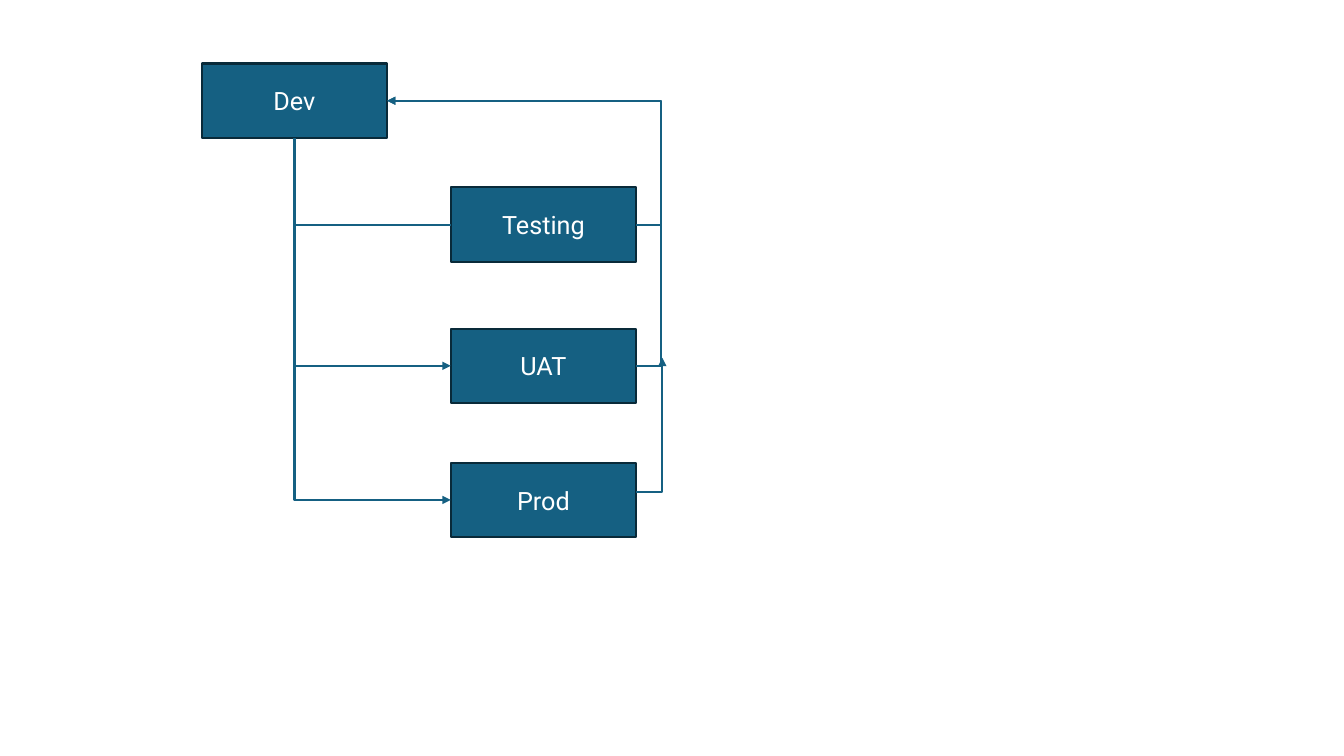
from pptx import Presentation
from pptx.dml.color import RGBColor
from pptx.enum.shapes import MSO_CONNECTOR, MSO_SHAPE
from pptx.enum.text import MSO_ANCHOR, PP_ALIGN
from pptx.oxml.ns import qn
from pptx.util import Inches, Pt
from lxml import etree

ELBOW, RECT = MSO_CONNECTOR.ELBOW, MSO_SHAPE.RECTANGLE
MIDDLE, CENTER = MSO_ANCHOR.MIDDLE, PP_ALIGN.CENTER
LEFT_SITE, BOTTOM_SITE, RIGHT_SITE = 1, 2, 3

THEME = {
    "fill": RGBColor.from_string("156082"),
    "edge": RGBColor.from_string("092A39"),
    "text": RGBColor.from_string("FFFFFF"),
    "font": "Roboto",
    "size": Pt(18),
    "line": Pt(1.5),
}

COLUMNS = [Inches(2), Inches(4.47)]
ROWS = [Inches(y) for y in (0.63, 1.86, 3.26, 4.59)]
BOX_W, BOX_H = Inches(1.84), Inches(0.74)
RETURN_GAP = Inches(0.25)

prs = Presentation()
prs.slide_width, prs.slide_height = Inches(13.33), Inches(7.5)
s = prs.slides.add_slide(prs.slide_layouts[6])


def add_box(label, column, row):
    sp = s.shapes.add_shape(RECT, COLUMNS[column], ROWS[row], BOX_W, BOX_H)
    sp.shadow.inherit = False
    sp.fill.solid()
    sp.fill.fore_color.rgb = THEME["fill"]
    sp.line.color.rgb = THEME["edge"]
    sp.line.width = THEME["line"]
    tf = sp.text_frame
    tf.vertical_anchor = MIDDLE
    p = tf.paragraphs[0]
    p.alignment = CENTER
    r = p.add_run()
    r.text = label
    r.font.name = THEME["font"]
    r.font.size = THEME["size"]
    r.font.color.rgb = THEME["text"]
    return sp


def add_elbow(x1, y1, x2, y2, preset, arrow=True):
    """Draw an elbow connector with the given bend preset."""
    cn = s.shapes.add_connector(ELBOW, x1, y1, x2, y2)
    cn.line.color.rgb = THEME["fill"]
    cn.line.width = THEME["line"]
    props = cn._element.spPr
    props.find(qn("a:prstGeom")).set("prst", preset)
    if arrow:
        etree.SubElement(cn.line._get_or_add_ln(), qn("a:tailEnd"), type="triangle")
    etree.SubElement(props, qn("a:effectLst"))
    return cn


dev = add_box("Dev", 0, 0)
stages = [add_box(label, 1, row)
          for row, label in enumerate(("Testing", "UAT", "Prod"), start=1)]
testing, uat, prod = stages

# Dev down to each stage: a quarter turn makes the elbow leave vertically
x1, y1 = dev.left + BOX_W // 2, dev.top + BOX_H
for stage in stages:
    x2, y2 = stage.left, stage.top + BOX_H // 2
    cn = add_elbow(x1, y1, x2, y2, "bentConnector2", arrow=stage is not testing)
    cn.begin_connect(dev, BOTTOM_SITE)
    cn.end_connect(stage, LEFT_SITE)
    cn.width, cn.height = y2 - y1, x2 - x1
    cn.left = (x1 + x2 - cn.width) // 2
    cn.top = (y1 + y2 - cn.height) // 2
    xfrm = cn._element.spPr.find(qn("a:xfrm"))
    xfrm.set("rot", "16200000")
    xfrm.set("flipH", "1")

# Testing and UAT back to Dev, bending to the right of the stages
stage_right, dev_right = testing.left + BOX_W, dev.left + BOX_W
bend = -round(100000 * RETURN_GAP / (stage_right - dev_right))
for stage in (testing, uat):
    cn = add_elbow(stage_right, stage.top + BOX_H // 2,
                   dev_right, dev.top + BOX_H // 2, "bentConnector3")
    cn.begin_connect(stage, RIGHT_SITE)
    cn.end_connect(dev, RIGHT_SITE)
    guides = cn._element.spPr.find(qn("a:prstGeom")).get_or_add_avLst()
    etree.SubElement(guides, qn("a:gd"), name="adj1", fmla=f"val {bend}")

# Prod joins the return line
add_elbow(stage_right, Inches(4.88), Inches(6.57), Inches(3.55), "bentConnector2")

prs.save("out.pptx")
